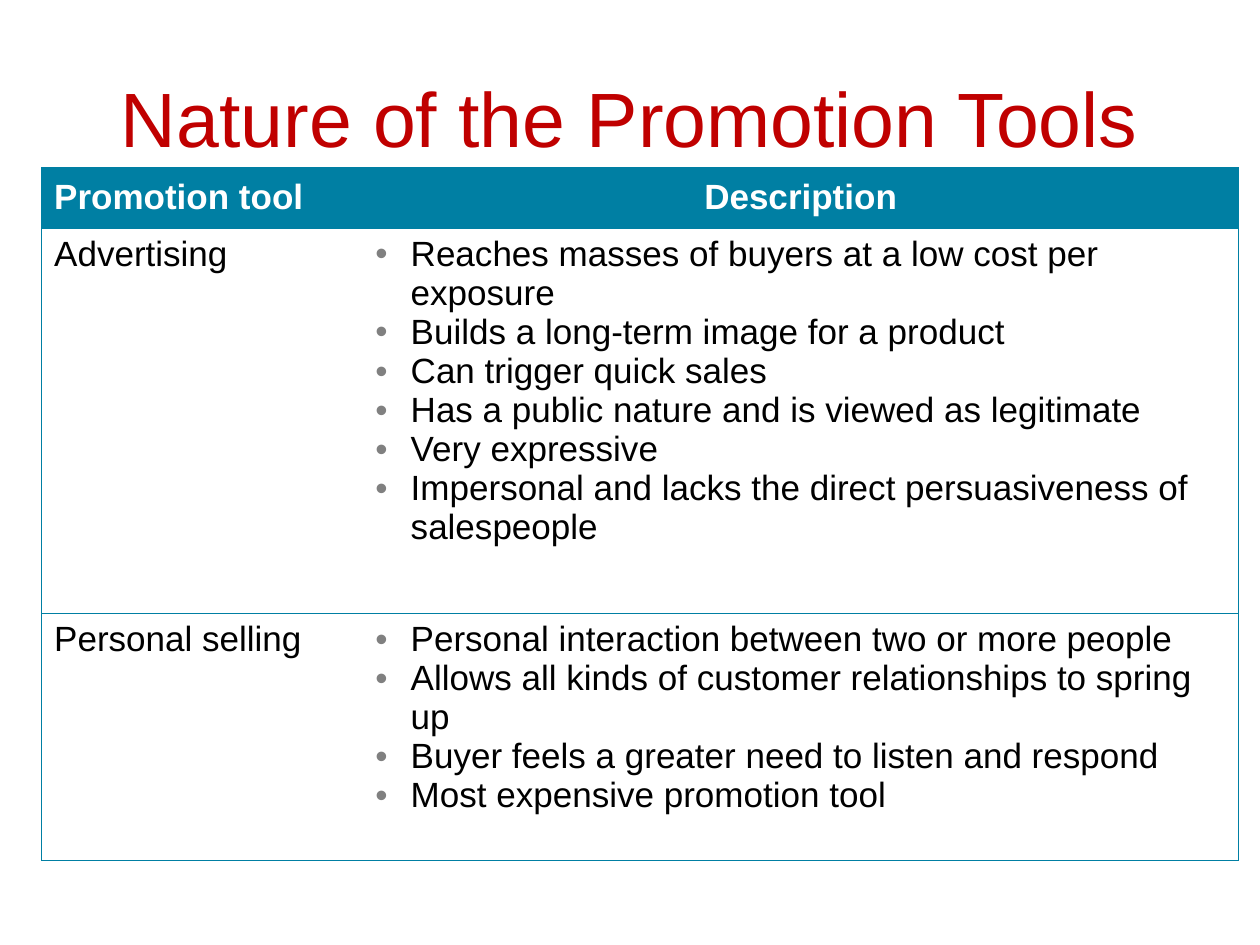
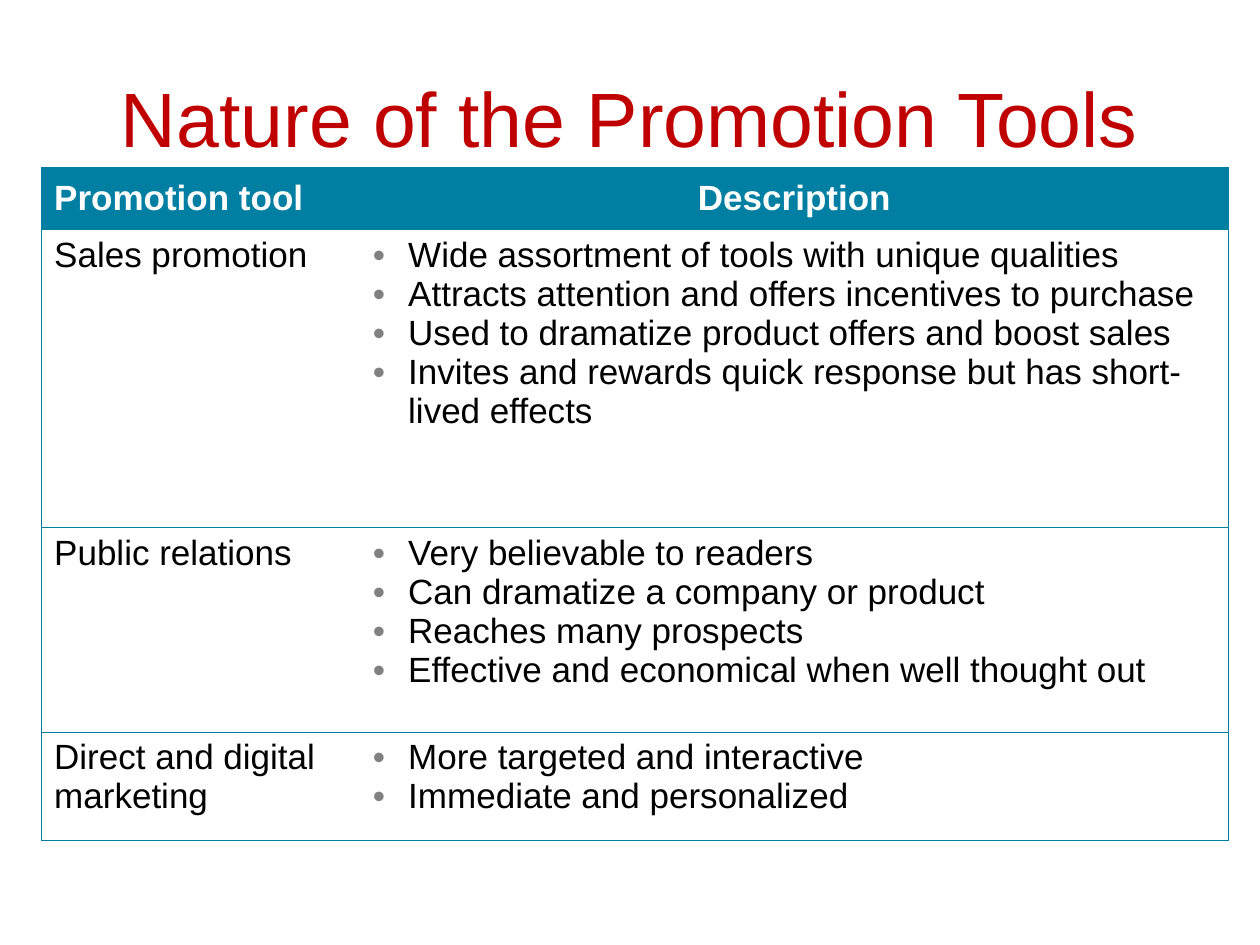
import pptx
import pptx.util
import pptx.dml.color
import pptx.enum.text
import pptx.oxml.ns
from lxml import etree

Inches = pptx.util.Inches
Pt = pptx.util.Pt
RGBColor = pptx.dml.color.RGBColor
Align = pptx.enum.text.PP_ALIGN
Anchor = pptx.enum.text.MSO_ANCHOR

RED = RGBColor(0xC0, 0x00, 0x00)
TEAL = RGBColor(0x00, 0x7F, 0xA3)
WHITE = RGBColor(0xFF, 0xFF, 0xFF)
BLACK = RGBColor(0x00, 0x00, 0x00)
GRAY = RGBColor(0x80, 0x80, 0x80)

FONT = "Arial"
TITLE = "Nature of the Promotion Tools"
HEADINGS = ("Promotion tool", "Description")
TABLE_LEFT, TABLE_TOP = 0.33, 1.33
BULLET_INDENT = 0.28

SLIDES = [
    {
        "columns": (2.55, 6.95),
        "header_height": 0.48,
        "tools": [
            ("Advertising", 3.06, [
                "Reaches masses of buyers at a low cost per exposure",
                "Builds a long-term image for a product",
                "Can trigger quick sales",
                "Has a public nature and is viewed as legitimate",
                "Very expressive",
                "Impersonal and lacks the direct persuasiveness of salespeople",
            ]),
            ("Personal selling", 1.96, [
                "Personal interaction between two or more people",
                "Allows all kinds of customer relationships to spring up",
                "Buyer feels a greater need to listen and respond",
                "Most expensive promotion tool",
            ]),
        ],
    },
    {
        "columns": (2.53, 6.89),
        "header_height": 0.49,
        "tools": [
            ("Sales promotion", 2.37, [
                "Wide assortment of tools with unique qualities",
                "Attracts attention and offers incentives to purchase",
                "Used to dramatize product offers and boost sales",
                "Invites and rewards quick response but has short-lived effects",
            ]),
            ("Public relations", 1.62, [
                "Very believable to readers",
                "Can dramatize a company or product",
                "Reaches many prospects",
                "Effective and economical when well thought out",
            ]),
            ("Direct and digital marketing", 0.86, [
                "More targeted and interactive",
                "Immediate and personalized",
            ]),
        ],
    },
]


def add_element(parent, tag, **attributes):
    return etree.SubElement(parent, pptx.oxml.ns.qn(tag), **attributes)


def add_span(para, text, size, color, bold=False):
    span = para.add_run()
    span.text = text
    span.font.name = FONT
    span.font.size = Pt(size)
    span.font.bold = bold
    span.font.color.rgb = color


def add_bullet(para):
    indent = Inches(BULLET_INDENT)
    properties = para._p.get_or_add_pPr()
    properties.set("marL", str(indent))
    properties.set("indent", str(-indent))
    color = add_element(properties, "a:buClr")
    add_element(color, "a:srgbClr", val=str(GRAY))
    add_element(properties, "a:buFont", typeface=FONT)
    add_element(properties, "a:buChar", char="•")


def set_borders(cell, open_side):
    properties = cell._tc.get_or_add_tcPr()
    for side in "LRTB":
        line = add_element(properties, f"a:ln{side}", w=str(Pt(0.5)))
        if side == open_side:
            add_element(line, "a:noFill")
        else:
            fill = add_element(line, "a:solidFill")
            add_element(fill, "a:srgbClr", val=str(TEAL))


def fill_cell(cell, column, lines, header, bulleted):
    set_borders(cell, "RL"[column])
    cell.fill.solid()
    cell.fill.fore_color.rgb = TEAL if header else WHITE
    cell.vertical_anchor = Anchor.MIDDLE if header else Anchor.TOP
    cell.margin_left = cell.margin_right = Inches(0.1)
    cell.margin_top = cell.margin_bottom = Inches(0.05)
    frame = cell.text_frame
    for index, text in enumerate(lines):
        para = frame.add_paragraph() if index else frame.paragraphs[0]
        para.alignment = Align.CENTER if header and column else Align.LEFT
        if bulleted:
            add_bullet(para)
        add_span(para, text, 20, WHITE if header else BLACK, header)


def add_title(page):
    box = page.shapes.title
    box.left, box.top = Inches(0.5), Inches(0.3)
    box.width, box.height = Inches(9), Inches(1.25)
    box.text_frame.vertical_anchor = Anchor.MIDDLE
    para = box.text_frame.paragraphs[0]
    para.alignment = Align.CENTER
    add_span(para, TITLE, 44, RED)


def add_tools_table(page, content):
    tools = content["tools"]
    widths = content["columns"]
    heights = [content["header_height"]] + [height for _, height, _ in tools]
    table = page.shapes.add_table(
        len(heights), len(widths), Inches(TABLE_LEFT), Inches(TABLE_TOP),
        Inches(sum(widths)), Inches(sum(heights))).table
    table.horz_banding = False
    for column, width in zip(table.columns, widths):
        column.width = Inches(width)
    for row, height in zip(table.rows, heights):
        row.height = Inches(height)

    for column, heading in enumerate(HEADINGS):
        fill_cell(table.cell(0, column), column, [heading], True, False)
    for row, (tool, _, points) in enumerate(tools, 1):
        fill_cell(table.cell(row, 0), 0, [tool], False, False)
        fill_cell(table.cell(row, 1), 1, points, False, True)


def main():
    deck = pptx.Presentation()
    deck.slide_width, deck.slide_height = Inches(10), Inches(7.5)
    title_only = deck.slide_layouts.get_by_name("Title Only")
    for content in SLIDES:
        page = deck.slides.add_slide(title_only)
        add_title(page)
        add_tools_table(page, content)
    deck.save("out.pptx")


if __name__ == "__main__":
    main()
